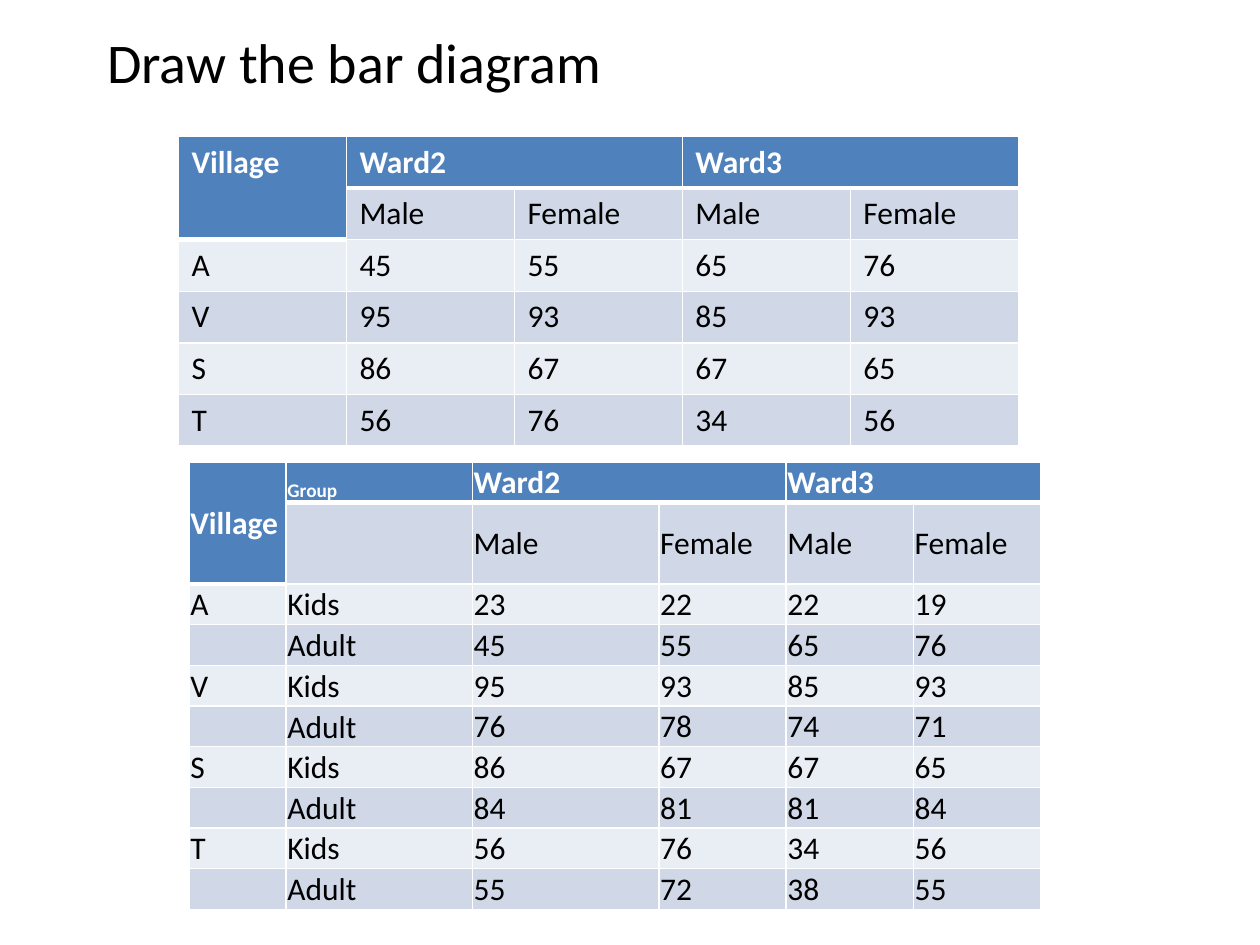
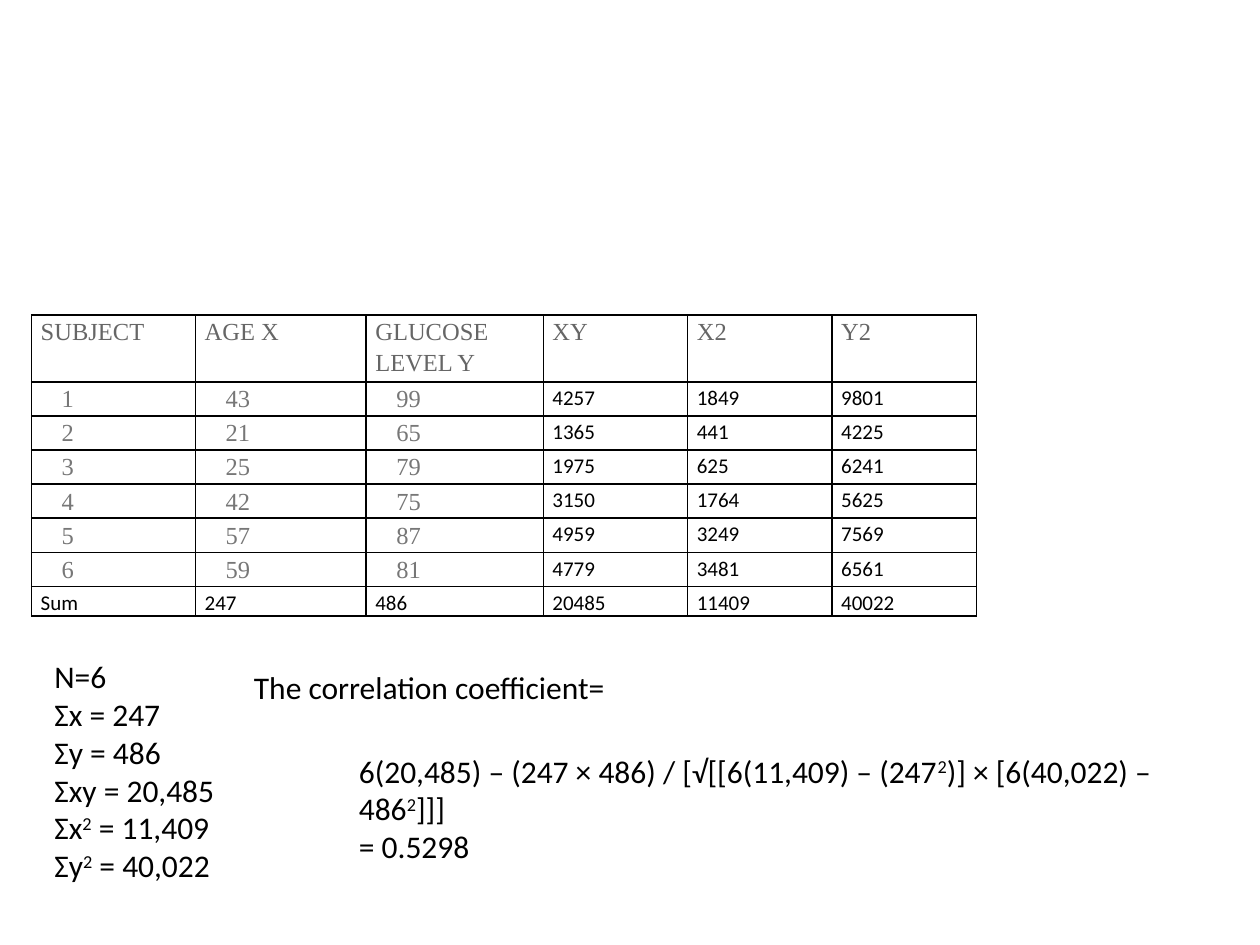
from lxml.etree import SubElement
from pptx import Presentation
from pptx.dml.color import RGBColor
from pptx.enum.text import MSO_ANCHOR as ANCHOR
from pptx.oxml.ns import qn
from pptx.util import Pt

PX = 9525  # 96 px to the inch
COLORS = {
    "white": "FFFFFF", "black": "000000", "header": "4F81BD", "dark_band": "D0D8E8",
    "light_band": "E9EDF4", "heading_gray": "666666", "number_gray": "777777",
}


def write_text(frame, text, size=18, font="Calibri", color="black", bold=False,
               margin_left=0, indent=0, line_spacing=None):
    """Write one paragraph per line; text between carets is superscript."""
    for index, line in enumerate(text.split("\n")):
        paragraph = frame.paragraphs[0] if index == 0 else frame.add_paragraph()
        properties = paragraph._p.get_or_add_pPr()
        properties.set("marL", str(margin_left * PX))
        properties.set("indent", str(indent * PX))
        SubElement(properties, qn("a:buNone"))
        paragraph.space_before = Pt(0)
        if line_spacing:
            paragraph.line_spacing = line_spacing
        for part, piece in enumerate(line.split("^")):
            if not piece:
                continue
            run = paragraph.add_run()
            run.text = piece
            run.font.size = Pt(size)
            run.font.name = font
            run.font.bold = bold
            run.font.color.rgb = RGBColor.from_string(COLORS[color])
            if part % 2:
                run._r.get_or_add_rPr().set("baseline", "30000")


def add_grid(slide, left, top, widths, heights, merges, margins, cell_style):
    """Add a table; cell_style(row, column) gives text, format, fill, anchor and borders."""
    frame = slide.shapes.add_table(len(heights), len(widths), left * PX, top * PX,
                                   sum(widths) * PX, sum(heights) * PX)
    table = frame.table
    table.first_row = table.horz_banding = False
    for column, width in zip(table.columns, widths):
        column.width = width * PX
    for row, height in zip(table.rows, heights):
        row.height = height * PX
    for first, last in merges:
        table.cell(*first).merge(table.cell(*last))
    for r in range(len(heights)):
        for c in range(len(widths)):
            cell = table.cell(r, c)
            text, text_format, fill, anchor, line_color, top_line, bottom_line = cell_style(r, c)
            cell.margin_left, cell.margin_top, cell.margin_right, cell.margin_bottom = (
                margin * PX for margin in margins)
            cell.vertical_anchor = anchor
            for side, points in zip("LRTB", (1, 1, top_line, bottom_line)):
                line = SubElement(cell._tc.get_or_add_tcPr(), qn(f"a:ln{side}"), w=str(Pt(points)))
                SubElement(SubElement(line, qn("a:solidFill")), qn("a:srgbClr"),
                           val=COLORS[line_color])
            cell.fill.solid()
            cell.fill.fore_color.rgb = RGBColor.from_string(COLORS[fill])
            if text:
                write_text(cell.text_frame, text, **text_format)


presentation = Presentation()
presentation.slide_width = 960 * PX
presentation.slide_height = 720 * PX

# Slide 1: ward tables
slide = presentation.slides.add_slide(presentation.slide_layouts[1])
title = slide.shapes.title
title._element.getparent().remove(title._element)
heading = slide.placeholders[1]
heading.left, heading.top, heading.width, heading.height = (n * PX for n in (72, 16, 864, 96))
write_text(heading.text_frame, "Draw the bar diagram", size=32, margin_left=36, indent=-36)

village_rows = [
    ["Village", "Ward2", "", "Ward3", ""],
    ["", "Male", "Female", "Male", "Female"],
    ["A", "45", "55", "65", "76"],
    ["V", "95", "93", "85", "93"],
    ["S", "86", "67", "67", "65"],
    ["T", "56", "76", "34", "56"],
]
group_rows = [
    ["Village", "Group", "Ward2", "", "Ward3", ""],
    ["", "", "Male", "Female", "Male", "Female"],
    ["A", "Kids", "23", "22", "22", "19"],
    ["", "Adult", "45", "55", "65", "76"],
    ["V", "Kids", "95", "93", "85", "93"],
    ["", "Adult", "76", "78", "74", "71"],
    ["S", "Kids", "86", "67", "67", "65"],
    ["", "Adult", "84", "81", "81", "84"],
    ["T", "Kids", "56", "76", "34", "56"],
    ["", "Adult", "55", "72", "38", "55"],
]
ward_tables = [
    (village_rows, 136, 104, [128] * 5, [39] * 6, 1, (10, 5, 10, 5), ANCHOR.TOP),
    (group_rows, 144, 352, [74, 142, 142, 97, 97, 97], [31, 62] + [31] * 8, 2,
     (1, 1, 1, 0), ANCHOR.MIDDLE),
]
for rows, left, top, widths, heights, ward_column, margins, anchor in ward_tables:
    def ward_style(r, c):
        text = rows[r][c]
        header = r == 0 or (r == 1 and c == 0)
        below_header = r == (2 if c == 0 else 1)
        text_format = {"size": 11 if text == "Group" else 18, "bold": header,
                       "color": "white" if header else "black"}
        fill = "header" if header else "dark_band" if r % 2 else "light_band"
        cell_anchor = ANCHOR.BOTTOM if text in ("Group", "Adult") else anchor
        return (text, text_format, fill, cell_anchor, "white",
                3 if below_header else 1, 3 if header else 1)

    merges = [((0, 0), (1, 0))]
    merges += [((0, c), (0, c + 1)) for c in (ward_column, ward_column + 2)]
    add_grid(slide, left, top, widths, heights, merges, margins, ward_style)

# Slide 2: correlation
slide = presentation.slides.add_slide(presentation.slide_layouts[6])
correlation_rows = [
    ["SUBJECT", "AGE X", "GLUCOSE LEVEL Y", "XY", "X2", "Y2"],
    ["1", "43", "99", "4257", "1849", "9801"],
    ["2", "21", "65", "1365", "441", "4225"],
    ["3", "25", "79", "1975", "625", "6241"],
    ["4", "42", "75", "3150", "1764", "5625"],
    ["5", "57", "87", "4959", "3249", "7569"],
    ["6", "59", "81", "4779", "3481", "6561"],
    ["Sum", "247", "486", "20485", "11409", "40022"],
]


def correlation_style(r, c):
    text_format = {"size": 12, "line_spacing": 1.15}
    if r == 0:
        text_format.update(size=14, font="Times New Roman", color="heading_gray")
    elif r < 7 and c < 3:
        text_format.update(size=14, font="Times New Roman", color="number_gray", indent=16)
    return correlation_rows[r][c], text_format, "white", ANCHOR.TOP, "black", 1, 1


add_grid(slide, 24, 240, [125, 130, 135, 110, 110, 110], [51] + [26] * 6 + [22], [],
         (7, 0, 7, 0), correlation_style)

notes = [
    (32, 496, 192, 184, True,
     "N=6\nΣx = 247\nΣy = 486\nΣxy = 20,485\nΣx^2^ = 11,409\nΣy^2^ = 40,022"),
    (184, 504, 291, 38, False, "The correlation coefficient="),
    (264, 568, 680, 97, True,
     "6(20,485) – (247 × 486) / [√[[6(11,409) – (247^2^)] × [6(40,022) – 486^2^]]]\n= 0.5298"),
]
for left, top, width, height, wrap, text in notes:
    box = slide.shapes.add_textbox(left * PX, top * PX, width * PX, height * PX)
    box.text_frame.word_wrap = wrap
    write_text(box.text_frame, text)

presentation.save("out.pptx")
